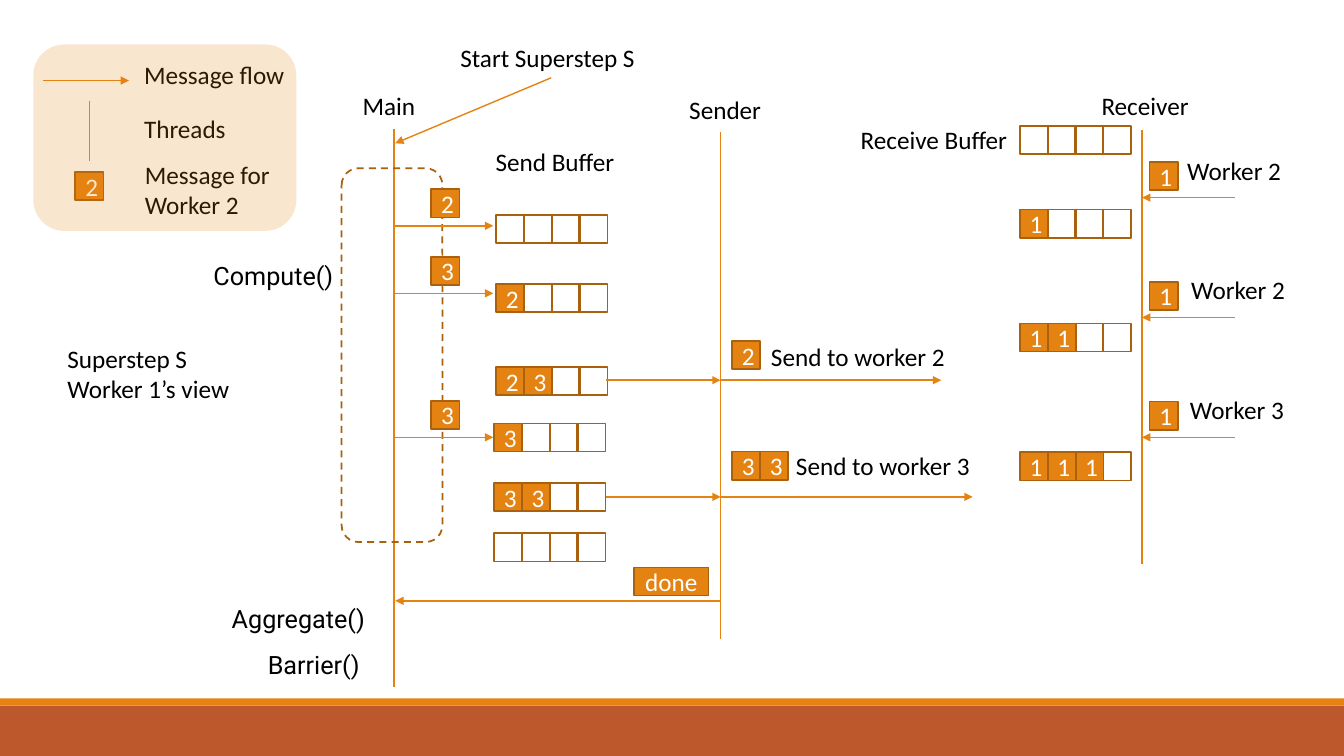
from dataclasses import dataclass

from lxml import etree
from pptx import Presentation
from pptx.dml.color import RGBColor
from pptx.enum.dml import MSO_LINE
from pptx.enum.shapes import MSO_CONNECTOR, MSO_SHAPE
from pptx.enum.text import MSO_ANCHOR, MSO_AUTO_SIZE, PP_ALIGN
from pptx.oxml.ns import qn
from pptx.util import Cm, Pt

RECT, ROUNDED = MSO_SHAPE.RECTANGLE, MSO_SHAPE.ROUNDED_RECTANGLE
STRAIGHT, DASH = MSO_CONNECTOR.STRAIGHT, MSO_LINE.DASH
MIDDLE, GROW = MSO_ANCHOR.MIDDLE, MSO_AUTO_SIZE.SHAPE_TO_FIT_TEXT
LEFT, CENTER = PP_ALIGN.LEFT, PP_ALIGN.CENTER


@dataclass(frozen=True)
class Theme:
    orange: str = "E48312"
    brown: str = "A9610D"
    rust: str = "BD582C"
    ink: str = "000000"
    white: str = "FFFFFF"
    body_font: str = "Calibri"
    code_font: str = "Roboto"
    text_size: float = 18
    flow_width: float = 1
    outline_width: float = 1.25


THEME = Theme()
CELL, PITCH, SLOTS = 0.71, 0.7, 4


def write(frame, text, font=THEME.body_font, color=THEME.ink, align=LEFT):
    frame.word_wrap = True
    frame.text = text
    for paragraph in frame.paragraphs:
        paragraph.alignment = align
        for run in paragraph.runs:
            run.font.name = font
            run.font.size = Pt(THEME.text_size)
            run.font.color.rgb = RGBColor.from_string(color)


class Diagram:
    """Holds the theme and the slide; all positions are in centimetres."""

    def __init__(self, slide, theme):
        self.slide, self.theme = slide, theme

    def box(self, left, top, width, height, kind=RECT, fill=None, alpha=None,
            outline=None, dash=None, text=""):
        shape = self.slide.shapes.add_shape(
            kind, Cm(left), Cm(top), Cm(width), Cm(height))
        shape.shadow.inherit = False
        if fill:
            shape.fill.solid()
            shape.fill.fore_color.rgb = RGBColor.from_string(fill)
        else:
            shape.fill.background()
        if alpha:
            color = shape.element.spPr.find(f"{qn('a:solidFill')}/{qn('a:srgbClr')}")
            etree.SubElement(color, qn("a:alpha"), val=str(alpha * 1000))
        if outline:
            shape.line.color.rgb = RGBColor.from_string(outline)
            shape.line.width = Pt(self.theme.outline_width)
            if dash:
                shape.line.dash_style = dash
        else:
            shape.line.fill.background()
        if text:
            shape.text_frame.vertical_anchor = MIDDLE
            write(shape.text_frame, text, color=self.theme.white, align=CENTER)

    def message(self, left, top, text, width=CELL):
        self.box(left, top, width, CELL, fill=self.theme.orange,
                 outline=self.theme.brown, text=text)

    def buffer(self, left, top, contents):
        for slot in reversed(range(SLOTS)):
            x = left + slot * PITCH
            if slot < len(contents):
                self.message(x, top, contents[slot])
            else:
                self.box(x, top, CELL, CELL, outline=self.theme.brown)

    def label(self, text, left, top, width, height=1.02, **style):
        textbox = self.slide.shapes.add_textbox(
            Cm(left), Cm(top), Cm(width), Cm(height))
        write(textbox.text_frame, text, **style)
        textbox.text_frame.auto_size = GROW

    def line(self, x1, y1, x2, y2, arrow=True):
        connector = self.slide.shapes.add_connector(
            STRAIGHT, Cm(x1), Cm(y1), Cm(x2), Cm(y2))
        connector.line.color.rgb = RGBColor.from_string(self.theme.orange)
        connector.line.width = Pt(self.theme.flow_width)
        properties = connector.element.spPr
        if arrow:
            etree.SubElement(properties.find(qn("a:ln")), qn("a:tailEnd"),
                             type="triangle")
        etree.SubElement(properties, qn("a:effectLst"))


presentation = Presentation()
presentation.slide_width, presentation.slide_height = Cm(33.87), Cm(19.05)
diagram = Diagram(
    presentation.slides.add_slide(presentation.slide_layouts[6]), THEME)

# Footer bands
diagram.box(0, 17.78, 33.87, 1.27, fill=THEME.rust)
diagram.box(0, 17.6, 33.87, 0.18, fill=THEME.orange)

# Threads
MAIN, SENDER, RECEIVER = 9.93, 18.16, 28.78
for thread, start, end in ((MAIN, 3.25, 17.32), (RECEIVER, 3.28, 14.22),
                           (SENDER, 3.33, 16.1)):
    diagram.line(thread, start, thread, end, arrow=False)

# Headings
for heading, left, top, width in (
        ("Main", 8.89, 2.16, 1.98), ("Receiver", 27.51, 2.16, 2.84),
        ("Sender", 17.12, 2.24, 2.34), ("Start Superstep S", 11.35, 0.94, 5.11),
        ("Send Buffer", 12.24, 3.56, 3.66), ("Receive Buffer", 21.44, 3, 4.34)):
    diagram.label(heading, left, top, width)
diagram.label("Superstep S\nWorker 1’s view", 1.45, 8.53, 4.78, 1.8)
diagram.line(13.89, 1.96, 9.96, 3.61)

# Phases of the superstep
diagram.box(8.61, 4.24, 2.54, 9.42, kind=ROUNDED, outline=THEME.brown, dash=DASH)
for phase, left, top, width in (("Compute()", 5.13, 6.43, 3.63),
                                ("Aggregate()", 5.59, 15.09, 4.19),
                                ("Barrier()", 6.5, 16.23, 3.43)):
    diagram.label(phase, left, top, width, font=THEME.code_font)

# Messages computed by the main thread
for worker, flow_y in (("2", 5.69), ("3", 7.39), ("3", 11.02)):
    diagram.line(MAIN, flow_y, 12.43, flow_y)
    diagram.message(10.87, flow_y - 0.92, worker)

# Send buffer over time
for left, top, contents in ((12.5, 5.41, ""), (12.5, 7.16, "2"),
                            (12.5, 9.25, "23"), (12.45, 10.67, "3"),
                            (12.45, 12.17, "33"), (12.45, 13.44, "")):
    diagram.buffer(left, top, contents)

# Full buffers leaving through the sender
for worker, count, flow_y, end, batch_y, caption_x, caption_y in (
        ("2", 1, 9.58, 23.72, 8.59, 19.18, 8.48),
        ("3", 2, 12.52, 24.51, 11.38, 19.81, 11.23)):
    diagram.line(15.28, flow_y, SENDER, flow_y)
    diagram.line(SENDER, flow_y, end, flow_y)
    for position in range(count):
        diagram.message(18.45 + position * PITCH, batch_y, worker)
    diagram.label(f"Send to worker {worker}", caption_x, caption_y, 5.08)
diagram.line(SENDER, 15.14, 9.96, 15.14)
diagram.message(15.98, 14.3, "done", width=1.88)

# Messages arriving at the receiver
for arrival, (worker, caption_x) in enumerate(((2, 29.67), (2, 29.77), (3, 29.74))):
    flow_y = 4.98 + arrival * 3.02
    diagram.line(31.12, flow_y, RECEIVER, flow_y)
    diagram.message(28.97, flow_y - 0.9, "1")
    diagram.label(f"Worker {worker}", caption_x, flow_y - 1.2, 3.05)

# Receive buffer over time
for received, top in enumerate((3.18, 5.28, 8.15, 11.4)):
    diagram.buffer(25.7, top, "1" * received)

# Legend
diagram.label("Message flow", 3.38, 1.37, 4.22)
diagram.line(1.09, 2.03, 3.25, 2.03)
diagram.label("Threads", 3.38, 2.74, 3.05)
diagram.line(2.26, 2.54, 2.26, 4.06, arrow=False)
diagram.label("Message for Worker 2", 3.4, 3.89, 3.76, 1.8)
diagram.message(1.9, 4.34, "2")
diagram.box(0.84, 1.12, 6.63, 4.7, kind=ROUNDED, fill=THEME.orange, alpha=20)

presentation.save("out.pptx")
